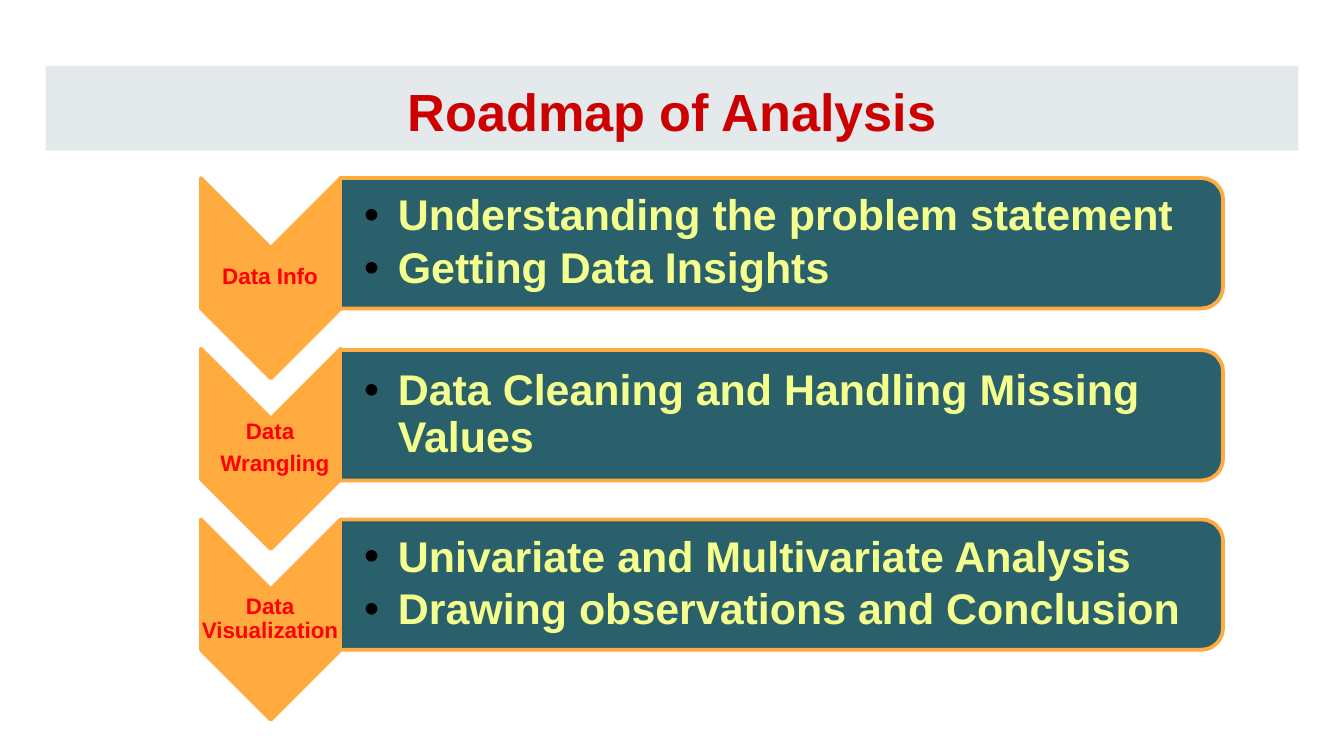
from typing import NamedTuple

from lxml.etree import SubElement
from pptx import Presentation
from pptx.dml.color import RGBColor
from pptx.enum.shapes import MSO_SHAPE
from pptx.enum.text import MSO_ANCHOR, PP_ALIGN
from pptx.oxml.ns import qn
from pptx.util import Inches, Pt

MIST = RGBColor(0xE4, 0xE9, 0xEB)
RED = RGBColor(0xCC, 0x00, 0x00)
BRIGHT = RGBColor(0xFF, 0x00, 0x00)
ORANGE = RGBColor(0xFF, 0xAB, 0x40)
TEAL = RGBColor(0x13, 0x4F, 0x5C)
LEMON = RGBColor(0xF5, 0xFF, 0x8D)


class Box(NamedTuple):
    left: float
    top: float
    width: float
    height: float


class Stage(NamedTuple):
    label: list[str]
    points: list[str]
    middle: float


STAGES = [
    Stage(["Data Info"],
          ["Understanding the problem statement", "Getting Data Insights"], 1.81),
    Stage(["Data", "Wrangling"],
          ["Data Cleaning and Handling Missing Values"], 3.09),
    Stage(["Data Visualization"],
          ["Univariate and Multivariate Analysis",
           "Drawing observations and Conclusion"], 4.35),
]
STEP = 1.27


def add_bullet(para) -> None:
    props = para._p.get_or_add_pPr()
    props.set("marL", str(Inches(0.25)))
    props.set("indent", str(-Inches(0.25)))
    color = SubElement(props, qn("a:buClr"))
    SubElement(color, qn("a:srgbClr"), val="000000")
    SubElement(props, qn("a:buFont"), typeface="Arial")
    SubElement(props, qn("a:buChar"), char="•")


def add_text(slide, box: Box, lines: list[str], *, size: float, color: RGBColor,
             inset: float, left: float | None = None, align=PP_ALIGN.CENTER,
             anchor=MSO_ANCHOR.MIDDLE, spacing: float = 0.9, after: float = 0,
             bullet: bool = False, fill: RGBColor | None = None):
    shape = slide.shapes.add_textbox(*map(Inches, box))
    if fill is not None:
        shape.fill.solid()
        shape.fill.fore_color.rgb = fill
    frame = shape.text_frame
    frame.word_wrap = True
    frame.vertical_anchor = anchor
    frame.margin_top = frame.margin_bottom = frame.margin_right = Inches(inset)
    frame.margin_left = Inches(inset if left is None else left)
    for index, line in enumerate(lines):
        para = frame.add_paragraph() if index else frame.paragraphs[0]
        para.alignment = align
        para.line_spacing = spacing
        para.space_after = Pt(after)
        if bullet:
            add_bullet(para)
        run = para.add_run()
        run.text = line
        font = run.font
        font.name = "Arial"
        font.size = Pt(size)
        font.bold = True
        font.color.rgb = color
    return frame


def add_turned(slide, kind: MSO_SHAPE, box: Box, fill: RGBColor, alpha: int = 100) -> None:
    shape = slide.shapes.add_shape(kind, *map(Inches, box))
    shape.rotation = 90
    shape.shadow.inherit = False
    shape.fill.solid()
    shape.fill.fore_color.rgb = fill
    shape.line.color.rgb = ORANGE
    shape.line.width = Pt(2)
    if alpha < 100:
        color = shape._element.spPr.find(qn("a:solidFill"))[0]
        SubElement(color, qn("a:alpha"), val=str(alpha * 1000))


def add_stage(slide, index: int, stage: Stage) -> None:
    drop = index * STEP
    add_turned(slide, MSO_SHAPE.CHEVRON, Box(1.27, 1.55 + drop, 1.49, 1.04), ORANGE)
    label = add_text(slide, Box(1.49, 1.84 + drop, 1.04, 0.45), stage.label,
                     size=12, color=BRIGHT, inset=0.01, after=4.2)
    for para in label.paragraphs[1:]:
        para.alignment = PP_ALIGN.LEFT
        para._p.get_or_add_pPr().set("marL", str(Inches(0.14)))
    add_turned(slide, MSO_SHAPE.ROUND_2_SAME_RECTANGLE,
               Box(5.33, stage.middle - 6.57 / 2, 0.97, 6.57), TEAL, alpha=90)
    add_text(slide, Box(2.53, stage.middle - 0.87 / 2, 6.52, 0.87), stage.points,
             size=23, color=LEMON, inset=0.02, left=0.18, align=PP_ALIGN.LEFT,
             after=3.5, bullet=True)


def main() -> None:
    deck = Presentation()
    deck.slide_width = Inches(10)
    deck.slide_height = deck.slide_width * 9 // 16
    slide = deck.slides.add_slide(deck.slide_layouts[6])
    add_text(slide, Box(0.34, 0.49, 9.32, 0.63), ["Roadmap of Analysis"],
             size=28, color=RED, inset=0.1, anchor=MSO_ANCHOR.TOP, spacing=1.0, fill=MIST)
    for index, stage in enumerate(STAGES):
        add_stage(slide, index, stage)
    deck.save("out.pptx")


if __name__ == "__main__":
    main()
